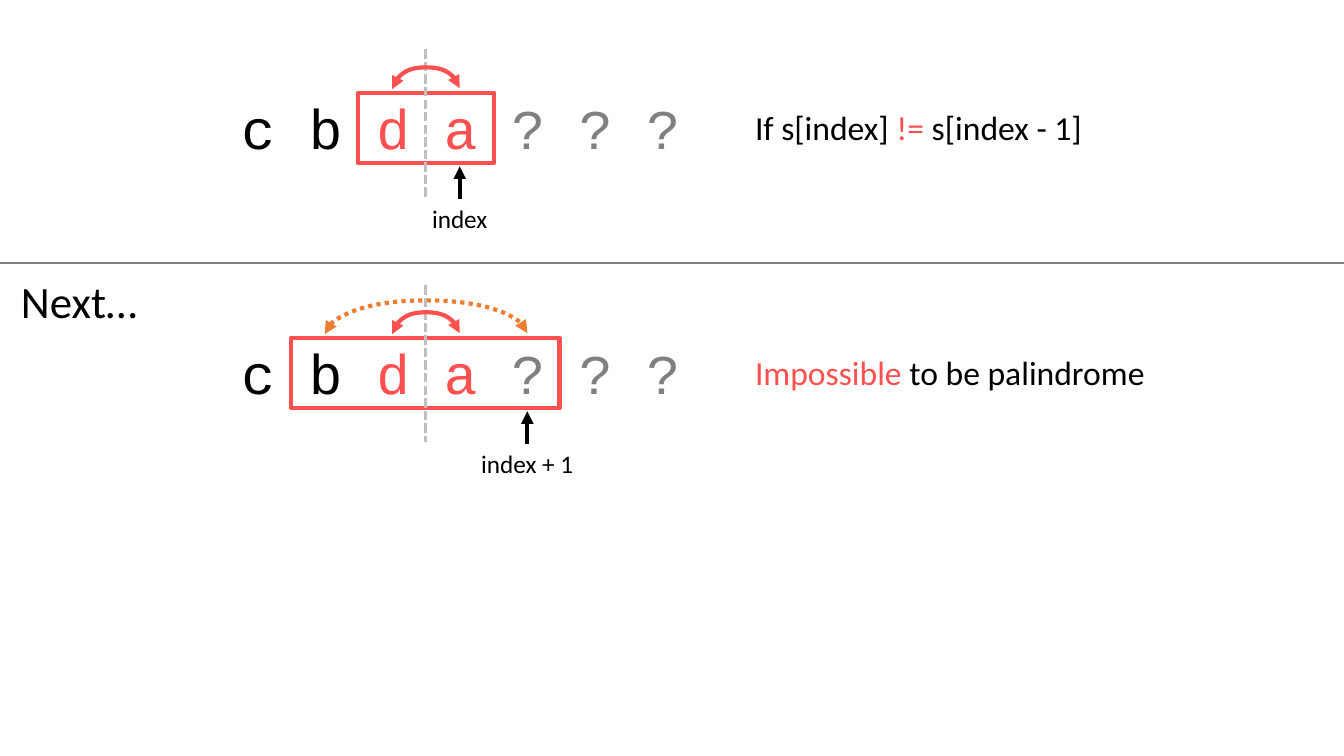
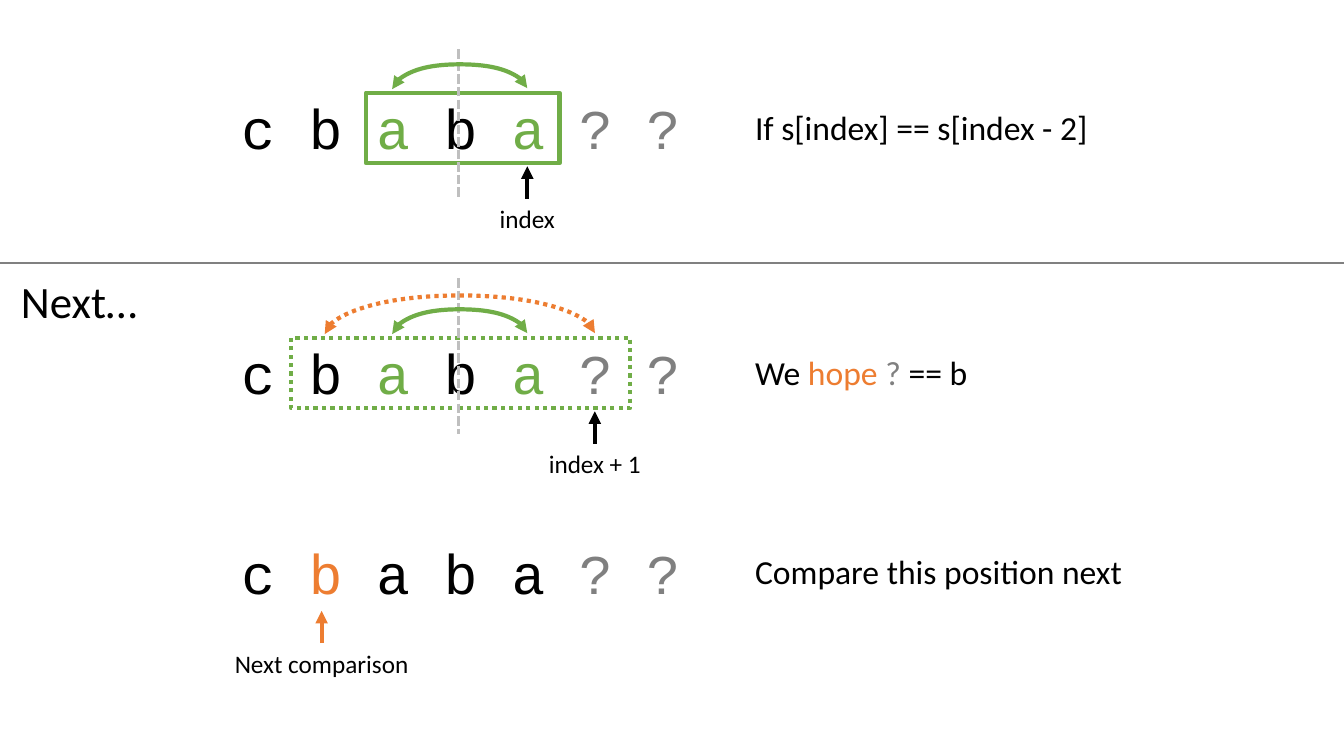
from pptx import Presentation
from pptx.dml.color import RGBColor
from pptx.enum.dml import MSO_LINE
from pptx.enum.shapes import MSO_CONNECTOR, MSO_SHAPE
from pptx.enum.text import MSO_AUTO_SIZE, PP_ALIGN
from pptx.oxml.ns import qn
from pptx.util import Inches, Pt
from lxml.etree import SubElement

COLORS = {
    "black": "000000",
    "gray": "808080",
    "silver": "BFBFBF",
    "red": "FF5050",
    "green": "70AD47",
    "orange": "ED7D31",
}
RGB = {name: RGBColor.from_string(value) for name, value in COLORS.items()}
FIRST_CENTER, PITCH = 2.55, 0.67
CENTERS = [FIRST_CENTER + PITCH * slot for slot in range(7)]
LETTER_WIDTH, LETTER_HEIGHT = 0.51, 0.77
POINTER_DROP = 1.09
FRAME_HEIGHT = 0.7
ARC_THICKNESS = 0.01


def write(page, left, top, width, height, spans, size, font="Calibri", align=PP_ALIGN.LEFT):
    box = page.shapes.add_textbox(Inches(left), Inches(top), Inches(width), Inches(height))
    frame = box.text_frame
    frame.word_wrap = False
    frame.auto_size = MSO_AUTO_SIZE.SHAPE_TO_FIT_TEXT
    para = frame.paragraphs[0]
    para.alignment = align
    for text, color in spans:
        span = para.add_run()
        span.text = text
        span.font.name = font
        span.font.size = Pt(size)
        span.font.color.rgb = RGB[color]


def draw_line(page, begin, end, color, width, dash=None, heads=(), rise=0):
    kind = MSO_CONNECTOR.STRAIGHT
    if rise:
        kind = MSO_CONNECTOR.CURVE
        middle, half_span = (begin[0] + end[0]) / 2, (end[0] - begin[0]) / 2
        level = begin[1]
        begin = (middle + ARC_THICKNESS / 2, level + half_span)
        end = (middle - ARC_THICKNESS / 2, level - half_span)
    line = page.shapes.add_connector(kind, *[Inches(value) for value in (*begin, *end)])
    line.line.color.rgb = RGB[color]
    line.line.width = Pt(width)
    if dash:
        line.line.dash_style = dash
    properties = line._element.spPr
    for head in heads:
        SubElement(properties.find(qn("a:ln")), qn(f"a:{head}"), type="triangle")
    if rise:
        properties.find(qn("a:xfrm")).set("rot", "5400000")
        guides = properties.find(qn("a:prstGeom")).find(qn("a:avLst"))
        amount = round(rise / ARC_THICKNESS * 100000)
        SubElement(guides, qn("a:gd"), name="adj1", fmla=f"val {amount}")
    SubElement(properties, qn("a:effectLst"))


mismatch = [
    {
        "top": 0.88, "letters": "cbda???", "accents": {2: "red", 3: "red"},
        "frame": (3.55, 1.35, "red", None),
        "axis": (4.22, 0.49, 1.97),
        "arcs": [(2, 3, 0.22, "red", None)],
        "pointer": ("index", CENTERS[3], 0.76, "black"),
        "statement": (3.53, [("If s[index] ", "black"), ("!=", "red"), (" s[index - 1]", "black")]),
    },
    {
        "top": 3.31, "letters": "cbda???", "accents": {2: "red", 3: "red"},
        "frame": (2.89, 2.66, "red", None),
        "axis": (4.22, 2.83, 4.39),
        "arcs": [(1, 4, 0.34, "orange", MSO_LINE.ROUND_DOT), (2, 3, 0.22, "red", None)],
        "pointer": ("index + 1", CENTERS[4], 1.13, "black"),
        "statement": (4.1, [("Impossible", "red"), (" to be palindrome", "black")]),
    },
]
match = [
    {
        "top": 0.88, "letters": "cbaba??", "accents": {2: "green", 4: "green"},
        "frame": (3.63, 1.92, "green", None),
        "axis": (4.55, 0.49, 1.97),
        "arcs": [(2, 4, 0.25, "green", None)],
        "pointer": ("index", CENTERS[4], 0.76, "black"),
        "statement": (3.53, [("If s[index] == s[index - 2]", "black")]),
    },
    {
        "top": 3.31, "letters": "cbaba??", "accents": {2: "green", 4: "green"},
        "frame": (2.89, 3.36, "green", MSO_LINE.ROUND_DOT),
        "axis": (4.55, 2.76, 4.31),
        "arcs": [(2, 4, 0.25, "green", None), (1, 5, 0.39, "orange", MSO_LINE.ROUND_DOT)],
        "pointer": ("index + 1", CENTERS[5], 1.13, "black"),
        "statement": (2.33, [("We ", "black"), ("hope ", "orange"), ("?", "gray"), (" == b", "black")]),
    },
    {
        "top": 5.29, "letters": "cbaba??", "accents": {1: "orange"},
        "frame": None,
        "axis": None,
        "arcs": [],
        "pointer": ("Next comparison", 3.19, 1.94, "orange"),
        "statement": (3.87, [("Compare this position next", "black")]),
    },
]

deck = Presentation()
deck.slide_width, deck.slide_height = Inches(13.33), Inches(7.5)

for rows in (mismatch, match):
    page = deck.slides.add_slide(deck.slide_layouts[6])
    draw_line(page, (0, 2.61), (13.33, 2.61), "gray", 1.5)
    write(page, 0.11, 2.67, 1.36, 0.64, [("Next…", "black")], 32)

    for row in rows:
        top = row["top"]
        for slot, letter in enumerate(row["letters"]):
            color = row["accents"].get(slot, "gray" if letter == "?" else "black")
            write(page, CENTERS[slot] - LETTER_WIDTH / 2, top, LETTER_WIDTH, LETTER_HEIGHT,
                  [(letter, color)], 40, "Courier New", PP_ALIGN.CENTER)

        if row["frame"]:
            left, width, color, dash = row["frame"]
            frame = page.shapes.add_shape(MSO_SHAPE.RECTANGLE, Inches(left), Inches(top + 0.04),
                                          Inches(width), Inches(FRAME_HEIGHT))
            frame.shadow.inherit = False
            frame.fill.background()
            frame.line.color.rgb = RGB[color]
            frame.line.width = Pt(3)
            if dash:
                frame.line.dash_style = dash

        label, center, width, color = row["pointer"]
        base = top + POINTER_DROP
        write(page, center - width / 2, base, width, 0.4, [(label, "black")], 18, align=PP_ALIGN.CENTER)
        draw_line(page, (center, base), (center, top + LETTER_HEIGHT), color, 3, heads=["tailEnd"])

        width, spans = row["statement"]
        write(page, 7.39, top + 0.13, width, 0.5, spans, 24)

        if row["axis"]:
            middle, start, stop = row["axis"]
            draw_line(page, (middle, start), (middle, stop), "silver", 2.25, MSO_LINE.SQUARE_DOT)
        for first, last, rise, color, dash in row["arcs"]:
            draw_line(page, (CENTERS[first], top), (CENTERS[last], top), color, 3, dash,
                      ["headEnd", "tailEnd"], rise)

deck.save("out.pptx")
